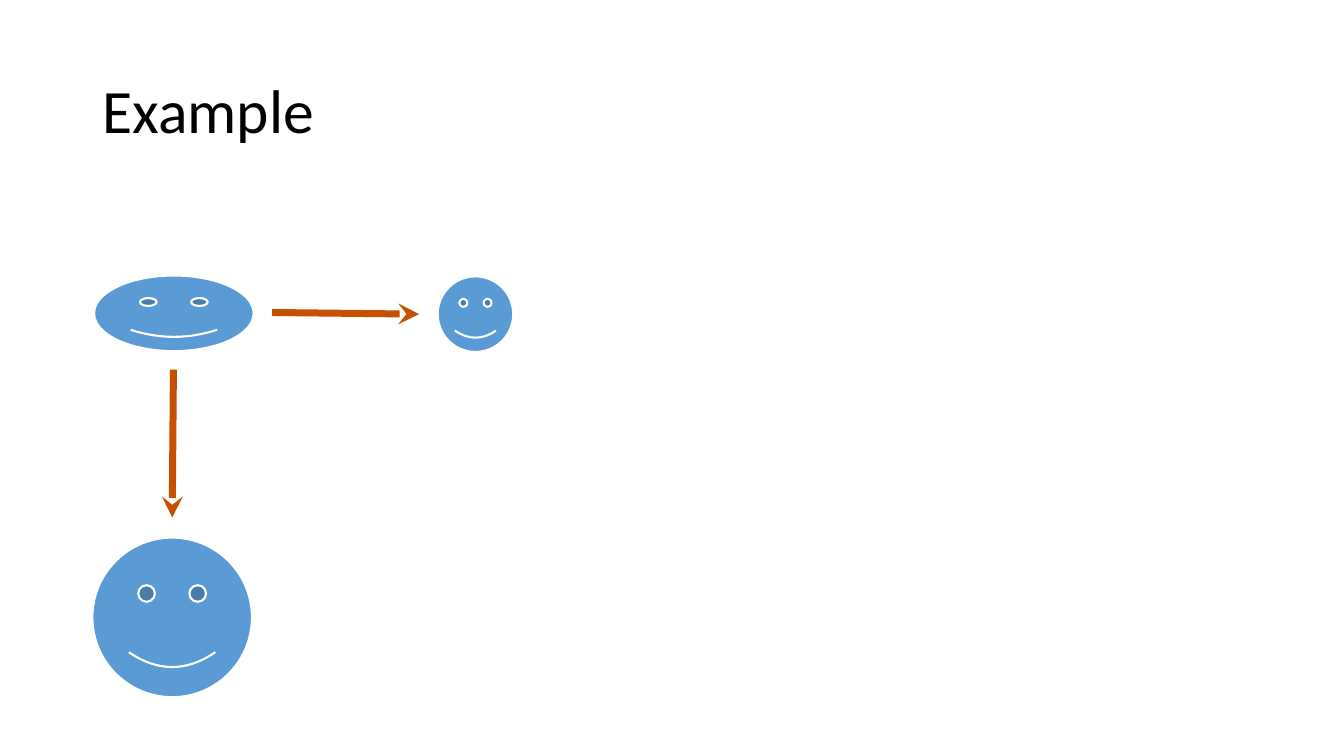
"""Build a slide of a smiley face stretched two ways from one example."""
import pptx
import pptx.dml.color
import pptx.enum.dml
import pptx.enum.shapes
import pptx.enum.text
import pptx.oxml
import pptx.oxml.ns
import pptx.util

SLIDE_WIDTH = pptx.util.Inches(13.333)
SLIDE_HEIGHT = pptx.util.Inches(7.5)
COLUMNS, ROWS = 160, 90
BLACK = pptx.dml.color.RGBColor(0x00, 0x00, 0x00)
WHITE = pptx.dml.color.RGBColor(0xFF, 0xFF, 0xFF)
BLUE = pptx.dml.color.RGBColor(0x5B, 0x9B, 0xD5)
ORANGE = pptx.dml.color.RGBColor(0xC6, 0x4F, 0x00)
SMALL, LARGE = 9, 19


def grid(column, row):
    return round(SLIDE_WIDTH * column / COLUMNS), round(SLIDE_HEIGHT * row / ROWS)


def set_attributes(target, values):
    for name, value in values.items():
        setattr(target, name, value)


def add_title(slide, text):
    title = slide.shapes.title
    left, top = grid(11, 4.8)
    width, height = grid(138, 17.4)
    set_attributes(title, {"left": left, "top": top, "width": width, "height": height})
    title.text_frame.text = text
    title.text_frame.vertical_anchor = pptx.enum.text.MSO_ANCHOR.MIDDLE
    paragraph = title.text_frame.paragraphs[0]
    set_attributes(paragraph, {"alignment": pptx.enum.text.PP_ALIGN.LEFT, "line_spacing": 0.9})
    set_attributes(paragraph.font, {"name": "Calibri", "size": pptx.util.Pt(44)})
    paragraph.font.color.rgb = BLACK


def add_smiley(slide, column, row, columns, rows):
    shape = slide.shapes.add_shape(
        pptx.enum.shapes.MSO_SHAPE.SMILEY_FACE, *grid(column, row), *grid(columns, rows))
    shape.shadow.inherit = False
    shape.fill.solid()
    shape.fill.fore_color.rgb = BLUE
    shape.line.color.rgb = WHITE
    shape.line.width = pptx.util.Pt(1.5)


def add_arrow(slide, start, end):
    arrow = slide.shapes.add_connector(
        pptx.enum.shapes.MSO_CONNECTOR.STRAIGHT, *grid(*start), *grid(*end))
    arrow.line.color.rgb = ORANGE
    arrow.line.width = pptx.util.Pt(5)
    properties = arrow._element.spPr
    head = pptx.oxml.parse_xml(
        f'<a:tailEnd {pptx.oxml.ns.nsdecls("a")} type="stealth"/>')
    properties.find(pptx.oxml.ns.qn("a:ln")).append(head)
    properties.append(pptx.oxml.parse_xml(f'<a:effectLst {pptx.oxml.ns.nsdecls("a")}/>'))


def main():
    presentation = pptx.Presentation()
    set_attributes(presentation, {"slide_width": SLIDE_WIDTH, "slide_height": SLIDE_HEIGHT})
    slide = presentation.slides.add_slide(presentation.slide_layouts[5])
    add_title(slide, "Example")
    add_smiley(slide, 11.2, 32.8, LARGE, SMALL)
    add_smiley(slide, 11, 64, LARGE, LARGE)
    add_smiley(slide, 52.1, 32.9, SMALL, SMALL)
    add_arrow(slide, (32.4, 37.2), (49.9, 37.4))
    add_arrow(slide, (20.65, 44), (20.5, 61.6))
    presentation.save("out.pptx")


if __name__ == "__main__":
    main()
